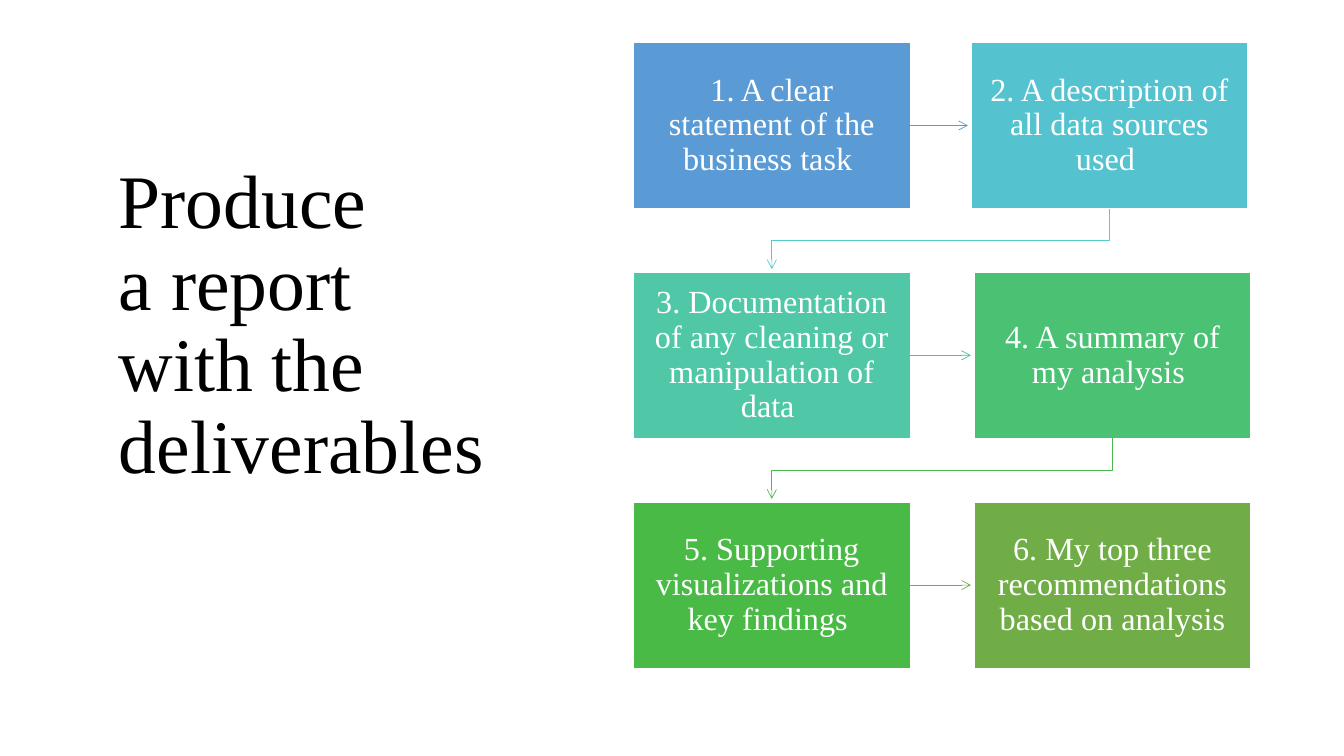
from lxml import etree
from pptx import Presentation
from pptx.dml.color import RGBColor
from pptx.enum.shapes import MSO_CONNECTOR, MSO_SHAPE
from pptx.enum.text import MSO_ANCHOR, PP_ALIGN
from pptx.oxml.ns import qn
from pptx.util import Inches, Pt

RECTANGLE = MSO_SHAPE.RECTANGLE
STRAIGHT = MSO_CONNECTOR.STRAIGHT
MIDDLE, CENTER = MSO_ANCHOR.MIDDLE, PP_ALIGN.CENTER

FONT = "Times New Roman"
WHITE = RGBColor(0xFF, 0xFF, 0xFF)
BLACK = RGBColor(0x00, 0x00, 0x00)

# Step text, box fill, colour of the arrow to the next step
STEPS = [
    ("1. A clear statement of the business task ",
     RGBColor(0x5B, 0x9B, 0xD5), RGBColor(0x5B, 0x9B, 0xD5)),
    ("2. A description of all data sources used ",
     RGBColor(0x55, 0xC3, 0xCF), RGBColor(0x54, 0xCC, 0xCD)),
    ("3. Documentation of any cleaning or manipulation of data ",
     RGBColor(0x50, 0xC8, 0xA7), RGBColor(0x4D, 0xC5, 0x8D)),
    ("4. A summary of my analysis ",
     RGBColor(0x4B, 0xC1, 0x74), RGBColor(0x48, 0xBB, 0x4F)),
    ("5. Supporting visualizations and key findings ",
     RGBColor(0x4A, 0xBA, 0x46), RGBColor(0x70, 0xAD, 0x47)),
    ("6. My top three recommendations based on analysis",
     RGBColor(0x70, 0xAD, 0x47), None),
]

# Grid of steps, in inches
BOX_WIDTH, BOX_HEIGHT = 2.75, 1.65
LEFT_COLUMN, RIGHT_COLUMN = 6.28, 9.66
FIRST_ROW, ROW_PITCH = 0.42, 2.28
FIRST_ROW_SHIFT = 0.03
ARROW_GAP = 0.03
BEND_DROP = 0.32


def write(paragraph, text, size, color):
    paragraph.text = text
    paragraph.line_spacing = 0.9
    paragraph.font.name = FONT
    paragraph.font.size = Pt(size)
    paragraph.font.color.rgb = color


def style_arrow(arrow, color):
    arrow.line.color.rgb = color
    arrow.line.width = Pt(0.5)
    properties = arrow.element.spPr
    etree.SubElement(properties.find(qn("a:ln")), qn("a:tailEnd"), type="arrow")
    if properties.find(qn("a:effectLst")) is None:
        etree.SubElement(properties, qn("a:effectLst"))


deck = Presentation()
deck.slide_width, deck.slide_height = Inches(13.33), Inches(7.5)
page = deck.slides.add_slide(deck.slide_layouts[6])

# Title
title = page.shapes.add_textbox(Inches(1.08), Inches(1.57), Inches(4.24), Inches(4.36))
title.text_frame.word_wrap = True
write(title.text_frame.paragraphs[0],
      "Produce \va report \vwith the deliverables", 54, BLACK)

# Steps in two columns, each with its arrow to the next
for index, (text, fill, arrow_color) in enumerate(STEPS):
    row, column = divmod(index, 2)
    right = RIGHT_COLUMN - (FIRST_ROW_SHIFT if row == 0 else 0)
    left = right if column else LEFT_COLUMN
    top = FIRST_ROW + row * ROW_PITCH
    bottom = top + BOX_HEIGHT

    box = page.shapes.add_shape(RECTANGLE, Inches(left), Inches(top),
                                Inches(BOX_WIDTH), Inches(BOX_HEIGHT))
    box.shadow.inherit = False
    box.fill.solid()
    box.fill.fore_color.rgb = fill
    box.line.color.rgb = WHITE
    box.line.width = Pt(1)

    frame = box.text_frame
    frame.word_wrap = True
    frame.vertical_anchor = MIDDLE
    frame.margin_left = frame.margin_right = Inches(0.13)
    frame.margin_top = frame.margin_bottom = Inches(0.14)
    para = frame.paragraphs[0]
    para.alignment = CENTER
    write(para, text, 23, WHITE)

    if arrow_color is None:
        continue
    if column == 0:
        middle = Inches(top + BOX_HEIGHT / 2)
        arrow = page.shapes.add_connector(
            STRAIGHT, Inches(left + BOX_WIDTH), middle,
            Inches(right - ARROW_GAP), middle)
    else:
        start, end = left + BOX_WIDTH / 2, LEFT_COLUMN + BOX_WIDTH / 2
        bend = bottom + BEND_DROP
        tip = top + ROW_PITCH - ARROW_GAP
        outline = page.shapes.build_freeform(Inches(start), Inches(bottom), scale=1.0)
        outline.add_line_segments(
            [(Inches(x), Inches(y)) for x, y in
             ((start, bend), (end, bend), (end, tip))], close=False)
        arrow = outline.convert_to_shape()
        arrow.fill.background()
    style_arrow(arrow, arrow_color)

deck.save("out.pptx")
